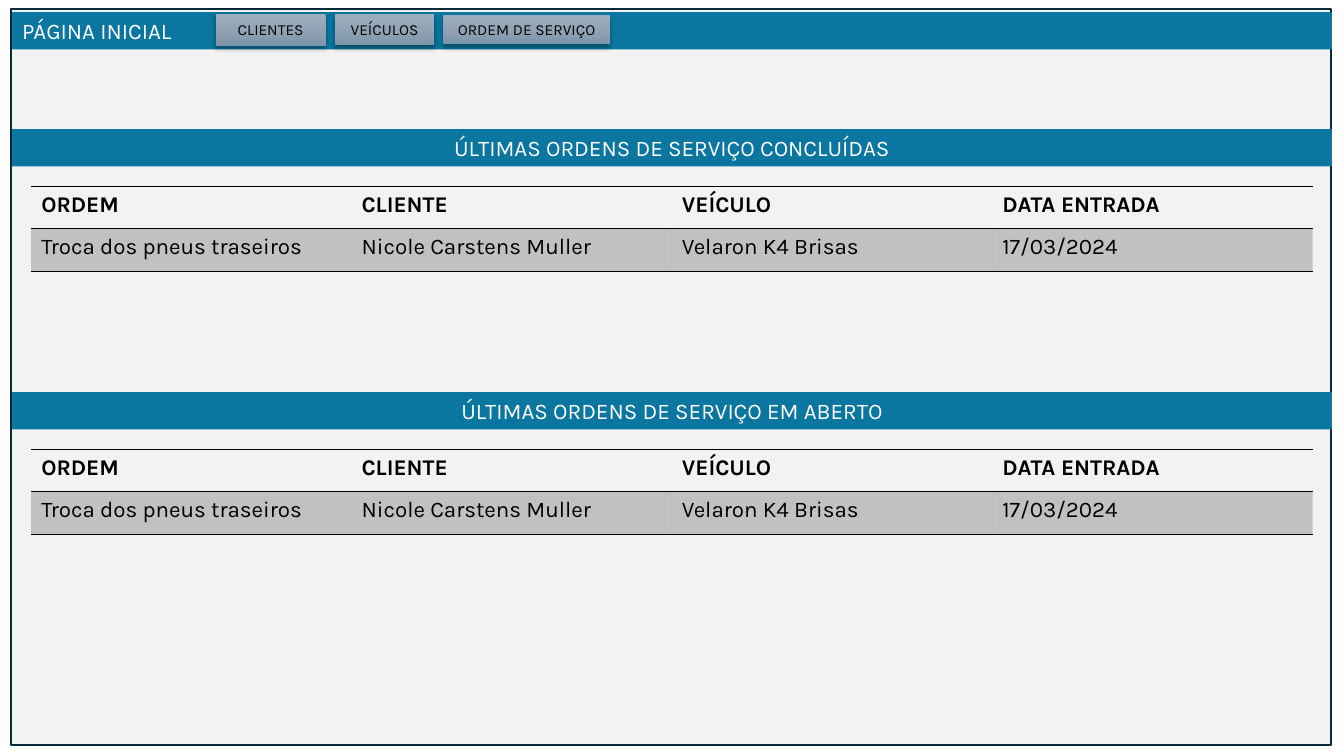
from dataclasses import dataclass

from lxml.etree import SubElement
from pptx import Presentation
from pptx.dml.color import RGBColor as RGB
from pptx.enum.shapes import MSO_SHAPE as Form
from pptx.enum.text import MSO_ANCHOR as Anchor, MSO_AUTO_SIZE as Fit, PP_ALIGN as Align
from pptx.oxml.ns import qn
from pptx.util import Inches, Pt


@dataclass(frozen=True)
class Theme:
    font: str = "Karla"
    body: int = 16
    small: int = 11
    ink: str = "000000"
    light: str = "FFFFFF"
    panel: str = "F2F2F2"
    edge: str = "092A39"
    bar: str = "0B76A0"
    steel: tuple = ((0, "9EAFBF"), (50, "91A3B4"), (100, "7C95AB"))


THEME = Theme()
WIDE, HIGH = Inches(13.33), Inches(7.5)


@dataclass(frozen=True)
class Box:
    """A region measured in percent of the slide's width and height."""
    x: float
    y: float
    w: float
    h: float

    def inner(self, x, y, w, h):
        """Return a box whose corner is offset from this one."""
        return Box(self.x + x, self.y + y, w, h)

    def emu(self):
        return [round(share * side / 100) for share, side in
                zip((self.x, self.y, self.w, self.h), (WIDE, HIGH) * 2)]


PAGE = Box(0.9, 1.6, 98.2, 97.33)
BAR = 4.93
BUTTONS = (("CLIENTES", 8.18, 4.27), ("VEÍCULOS", 7.43, 4.13),
           ("ORDEM DE SERVIÇO", 12.38, 3.87))
ROWS = (("ORDEM", "CLIENTE", "VEÍCULO", "DATA ENTRADA"),
        ("Troca dos pneus traseiros", "Nicole Carstens Muller",
         "Velaron K4 Brisas", "17/03/2024"))
LISTS = ((15.47, "ÚLTIMAS ORDENS DE SERVIÇO CONCLUÍDAS"),
         (50.27, "ÚLTIMAS ORDENS DE SERVIÇO EM ABERTO"))


def write(frame, text, size=THEME.body, color=THEME.ink, bold=False, align=Align.LEFT):
    para = frame.paragraphs[0]
    para.alignment = align
    run = para.add_run()
    run.text = text
    font = run.font
    font.name, font.size, font.bold = THEME.font, Pt(size), bold
    font.color.rgb = RGB.from_string(color)


def paint(parent, color, alpha=100):
    """Add a colour with its opacity in percent."""
    tint = SubElement(parent, qn("a:srgbClr"), val=color)
    if alpha < 100:
        SubElement(tint, qn("a:alpha"), val=str(alpha * 1000))


def rect(slide, box, fill=None):
    shape = slide.shapes.add_shape(Form.RECTANGLE, *box.emu())
    shape.shadow.inherit = False
    shape.line.fill.background()
    if fill:
        shape.fill.solid()
        shape.fill.fore_color.rgb = RGB.from_string(fill)
    frame = shape.text_frame
    frame.word_wrap = True
    frame.vertical_anchor = Anchor.MIDDLE
    return shape


def panel(slide, box):
    shape = rect(slide, box, THEME.panel)
    shape.line.color.rgb = RGB.from_string(THEME.edge)
    shape.line.width = Pt(1.5)


def banner(slide, box, text, align=Align.CENTER):
    frame = rect(slide, box, THEME.bar).text_frame
    frame.auto_size = Fit.SHAPE_TO_FIT_TEXT
    write(frame, text, color=THEME.light, align=align)


def button(slide, box, text):
    shape = rect(slide, box)
    shape.fill.gradient()
    shape.fill.gradient_angle = 270
    props = shape.element.spPr
    stops = props.find(".//" + qn("a:gsLst"))
    for stop in list(stops):
        stops.remove(stop)
    for place, color in THEME.steel:
        paint(SubElement(stops, qn("a:gs"), pos=str(place * 1000)), color)
    shade = SubElement(props.find(qn("a:effectLst")), qn("a:outerShdw"),
                       blurRad=str(Pt(3.5)), dist=str(Pt(2.2)),
                       dir="5400000", rotWithShape="0")
    paint(shade, THEME.ink, 32)
    write(shape.text_frame, text, size=THEME.small, align=Align.CENTER)


def menu(slide, box):
    banner(slide, box, "PÁGINA INICIAL", Align.LEFT)
    left, mid, gap = 15.15, 2.33, 0.67
    for text, wide, high in BUTTONS:
        button(slide, box.inner(left, mid - high / 2, wide, high), text)
        left += wide + gap


def style(cell, shaded):
    """Rule the cell above and below, and tint it if shaded."""
    props = cell._tc.get_or_add_tcPr()
    for side in "LRTB":
        line = SubElement(props, qn("a:ln" + side), w=str(Pt(1)))
        if side in "TB":
            paint(SubElement(line, qn("a:solidFill")), THEME.ink)
        else:
            SubElement(line, qn("a:noFill"))
    if shaded:
        paint(SubElement(props, qn("a:solidFill")), THEME.ink, 20)
    else:
        SubElement(props, qn("a:noFill"))


def grid(slide, box):
    table = slide.shapes.add_table(len(ROWS), len(ROWS[0]), *box.emu()).table
    table.first_row = table.horz_banding = False
    for r, row in enumerate(ROWS):
        for c, text in enumerate(row):
            cell = table.cell(r, c)
            style(cell, shaded=r > 0)
            write(cell.text_frame, text, bold=r == 0)


def orders(slide, box, title):
    banner(slide, box.inner(0, 0, box.w, BAR), title)
    grid(slide, box.inner(1.42, 7.6, 95.35, 11.2))


def main():
    deck = Presentation()
    deck.slide_width, deck.slide_height = WIDE, HIGH
    slide = deck.slides.add_slide(deck.slide_layouts[6])
    panel(slide, PAGE.inner(-0.07, -0.4, PAGE.w, PAGE.h))
    menu(slide, PAGE.inner(0, 0, PAGE.w, BAR))
    for top, title in LISTS:
        orders(slide, PAGE.inner(0, top, PAGE.w, 18.8), title)
    deck.save("out.pptx")


if __name__ == "__main__":
    main()
